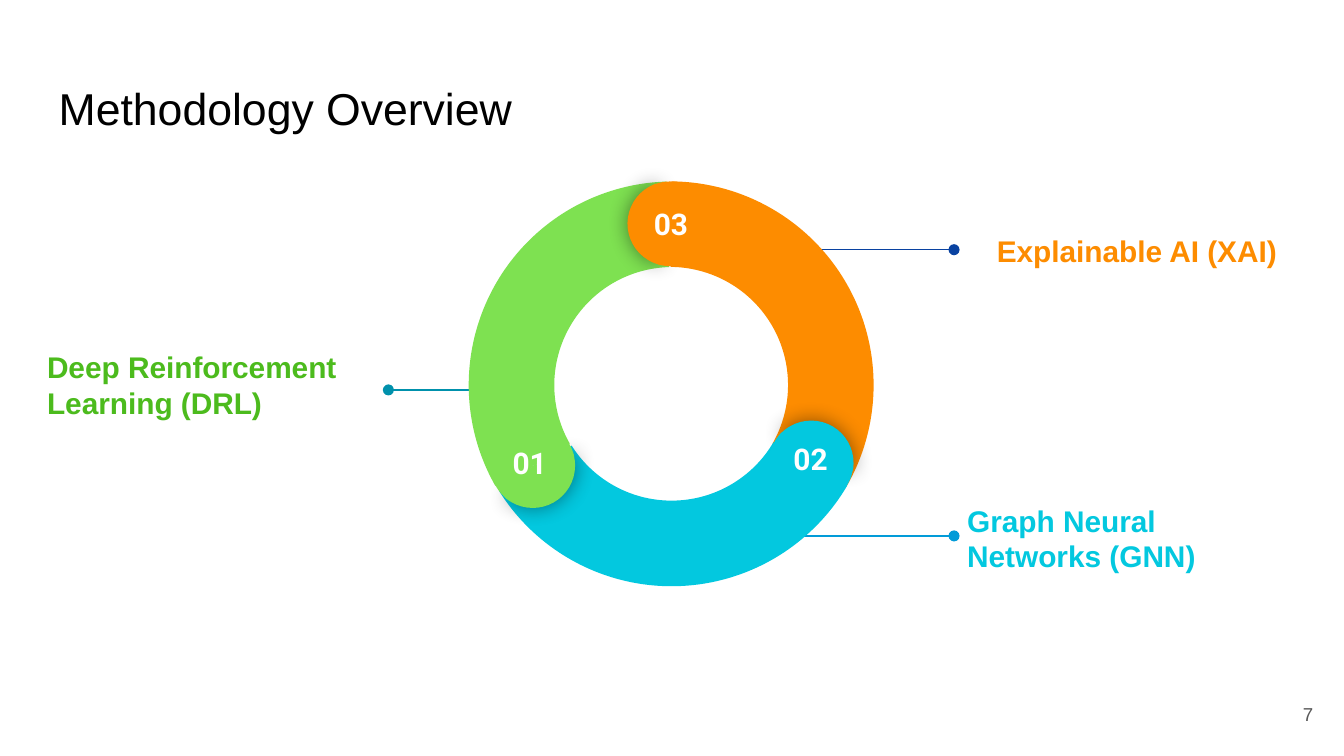
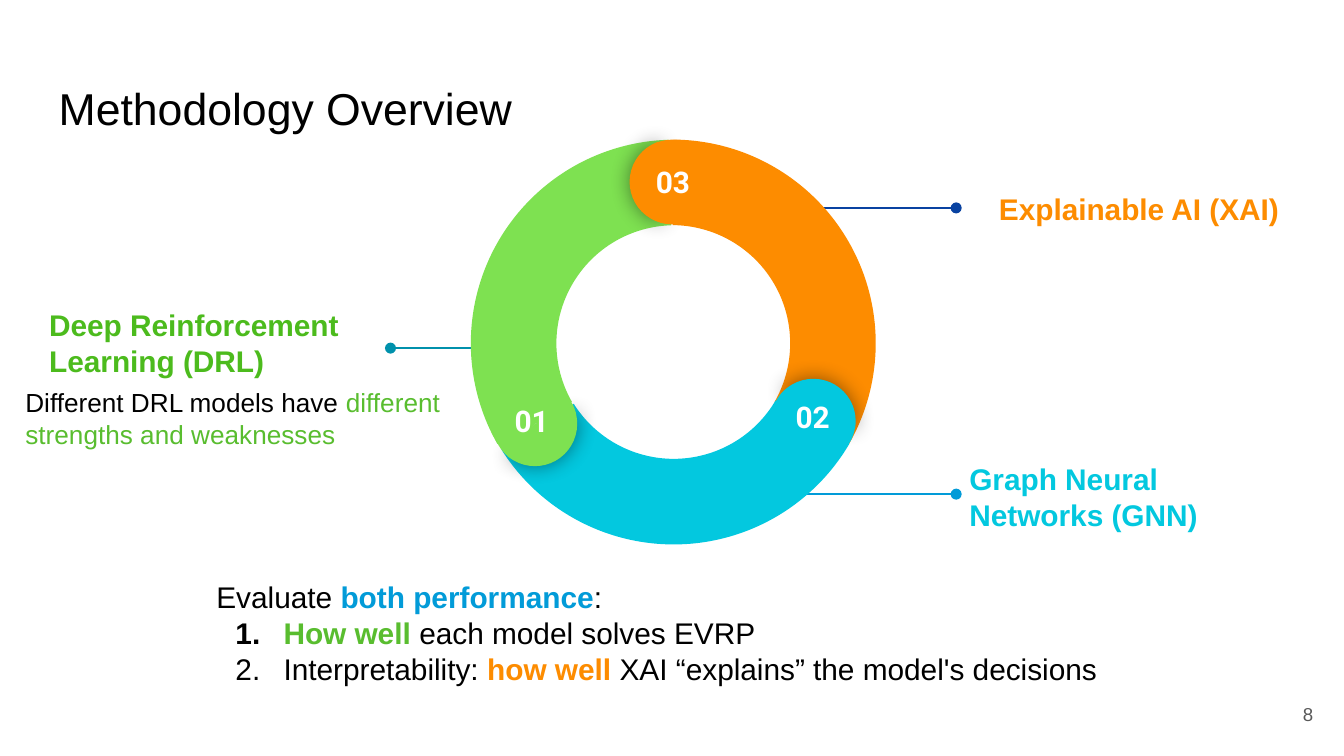
from dataclasses import dataclass

import lxml.etree
import pptx
import pptx.dml.color
import pptx.enum.shapes
import pptx.enum.text
import pptx.oxml.ns
import pptx.util

Cm = pptx.util.Cm
Pt = pptx.util.Pt
Align = pptx.enum.text.PP_ALIGN
Anchor = pptx.enum.text.MSO_ANCHOR
Shape = pptx.enum.shapes.MSO_SHAPE
qn = pptx.oxml.ns.qn

BLACK = "000000"
WHITE = "FFFFFF"
GREY = "595959"
ORANGE = "FD8C00"
CYAN = "03C8DF"
LIME = "7EE151"
GREEN = "4CBB1D"
LEAF = "59BD2F"
BLUE = "029BD8"
TEAL = "0091AC"
NAVY = "0942A1"

INSET = 0.25
RING_SIZE = 7.7
CAP_SIZE = 1.6
CAP_SHADOWED = (61.9, 149.96)
CAP_PLAIN = (40.28, 171.84)


@dataclass(frozen=True)
class Box:
    left: float
    top: float
    width: float
    height: float

    def moved(self, dx: float, dy: float) -> "Box":
        return Box(self.left + dx, self.top + dy, self.width, self.height)

    def lengths(self) -> tuple:
        return Cm(self.left), Cm(self.top), Cm(self.width), Cm(self.height)


@dataclass(frozen=True)
class Span:
    text: str
    color: str = BLACK
    bold: bool = False


@dataclass(frozen=True)
class Callout:
    text: str
    color: str
    box: Box
    line_from: float
    line_to: float
    line_y: float
    line_color: str
    bottom_inset: float = INSET


@dataclass(frozen=True)
class Segment:
    number: str
    color: str
    rotation: float
    arc: Box
    arc_adjustments: tuple
    cap: Box
    label: Box


CALLOUTS = [
    Callout("Deep Reinforcement Learning (DRL)", GREEN, Box(0.64, 5.64, 6.76, 3.91),
            9.09, 7.34, 7.37, TEAL, 0.9),
    Callout("Explainable AI (XAI)", ORANGE, Box(18.59, 2.95, 5.89, 3.58),
            14.48, 18.03, 4.72, NAVY),
    Callout("Graph Neural Networks (GNN)", CYAN, Box(18.03, 8.38, 6.45, 3.58),
            14.48, 18.03, 10.13, BLUE),
]

SEGMENTS = [
    Segment("03", ORANGE, 60, Box(8.81, 3.43, RING_SIZE, RING_SIZE), (126.23, 197.82, 0.21),
            Box(11.86, 3.43, CAP_SIZE, CAP_SIZE), Box(12.04, 3.63, 1.42, 0.74)),
    Segment("02", CYAN, 180, Box(8.84, 3.38, RING_SIZE, RING_SIZE), (126.23, 196.63, 0.21),
            Box(14.53, 7.95, CAP_SIZE, CAP_SIZE), Box(14.68, 8.08, 1.42, 0.74)),
    Segment("01", LIME, 300, Box(8.86, 3.43, RING_SIZE, RING_SIZE), (126.23, 197.03, 0.21),
            Box(9.27, 8.0, CAP_SIZE, CAP_SIZE), Box(9.37, 8.15, 1.42, 0.74)),
]

DRL_NOTE = [[Span("Different DRL models have "),
             Span("different strengths and weaknesses", LEAF)]]

EVALUATION = [
    [Span("Evaluate "), Span("both performance", BLUE, True), Span(":")],
    [Span("How well ", LEAF, True), Span("each model solves EVRP")],
    [Span("Interpretability: "), Span("how well ", ORANGE, True),
     Span("XAI “explains” the model's decisions")],
]


def rgb(color: str) -> pptx.dml.color.RGBColor:
    return pptx.dml.color.RGBColor.from_string(color)


def add_child(parent, tag: str, **attributes: str):
    return lxml.etree.SubElement(parent, qn(tag), attributes)


def set_frame(tf, anchor, bottom: float = INSET) -> None:
    tf.word_wrap = True
    tf.auto_size = pptx.enum.text.MSO_AUTO_SIZE.NONE
    tf.vertical_anchor = anchor
    tf.margin_left = tf.margin_top = tf.margin_right = Cm(INSET)
    tf.margin_bottom = Cm(bottom)


def set_font(font, size: float, color: str, bold: bool = False, name: str = "Arial") -> None:
    font.name = name
    font.size = Pt(size)
    font.bold = bold
    font.color.rgb = rgb(color)


def add_label(slide, box: Box, text: str, size: float, color: str, bold: bool = False,
              name: str = "Arial", align=Align.LEFT, anchor=Anchor.MIDDLE,
              bottom: float = INSET) -> None:
    tf = slide.shapes.add_textbox(*box.lengths()).text_frame
    set_frame(tf, anchor, bottom)
    p = tf.paragraphs[0]
    p.text = text
    p.alignment = align
    set_font(p.font, size, color, bold, name)


def number_paragraph(p) -> None:
    pPr = p._p.get_or_add_pPr()
    pPr.set("marL", str(Cm(1.27)))
    pPr.set("indent", str(Cm(-0.91)))
    add_child(add_child(pPr, "a:buClr"), "a:srgbClr", val=BLACK)
    add_child(pPr, "a:buFont", typeface="Arial")
    add_child(pPr, "a:buAutoNum", type="arabicPeriod")


def add_rich_text(slide, box: Box, paragraphs: list, size: float) -> None:
    tf = slide.shapes.add_textbox(*box.lengths()).text_frame
    set_frame(tf, Anchor.TOP)
    for i, spans in enumerate(paragraphs):
        p = tf.add_paragraph() if i else tf.paragraphs[0]
        if i:
            number_paragraph(p)
        p.font.name = "Arial"
        p.font.size = Pt(size)
        for span in spans:
            r = p.add_run()
            r.text = span.text
            r.font.bold = span.bold
            r.font.color.rgb = rgb(span.color)


def add_curve(slide, kind, box: Box, rotation: float, adjustments: tuple, color: str):
    sp = slide.shapes.add_shape(kind, *box.lengths())
    sp.rotation = rotation % 360
    for i, value in enumerate(adjustments):
        sp.adjustments[i] = value
    sp.fill.solid()
    sp.fill.fore_color.rgb = rgb(color)
    sp.line.fill.background()
    sp.shadow.inherit = False
    return sp


def add_glow_shadow(sp) -> None:
    effects = sp._element.spPr.find(qn("a:effectLst"))
    shadow = add_child(effects, "a:outerShdw", blurRad=str(Pt(11.2)), dist="0", dir="0",
                       algn="ctr", rotWithShape="0")
    add_child(add_child(shadow, "a:srgbClr", val=BLACK), "a:alpha", val="43000")


def add_callout(slide, callout: Callout, dx: float, dy: float) -> None:
    add_label(slide, callout.box.moved(dx, dy), callout.text, 16, callout.color, True,
              bottom=callout.bottom_inset)
    y = Cm(callout.line_y + dy)
    line = slide.shapes.add_connector(pptx.enum.shapes.MSO_CONNECTOR.STRAIGHT,
                                      Cm(callout.line_from + dx), y,
                                      Cm(callout.line_to + dx), y)
    line.line.color.rgb = rgb(callout.line_color)
    line.line.width = Pt(0.75)
    spPr = line._element.spPr
    add_child(spPr.find(qn("a:ln")), "a:tailEnd", type="oval")
    add_child(spPr, "a:effectLst")


def add_ring(slide, dx: float, dy: float) -> None:
    for seg in SEGMENTS:
        add_curve(slide, Shape.BLOCK_ARC, seg.arc.moved(dx, dy), seg.rotation,
                  seg.arc_adjustments, seg.color)
    for seg in SEGMENTS:
        cap = seg.cap.moved(dx, dy)
        add_glow_shadow(add_curve(slide, Shape.PIE, cap, seg.rotation - 59.3,
                                  CAP_SHADOWED, seg.color))
        add_curve(slide, Shape.PIE, cap, seg.rotation + 120, CAP_PLAIN, seg.color)
        add_label(slide, seg.label.moved(dx, dy), seg.number + " ", 16, WHITE, True,
                  "Roboto", Align.CENTER, Anchor.TOP)


def add_overview(prs, page: int, dx: float = 0, dy: float = 0):
    slide = prs.slides.add_slide(prs.slide_layouts[5])
    title = slide.shapes.title
    title.left, title.top, title.width, title.height = Box(0.86, 1.24, 23.67, 1.6).lengths()
    set_frame(title.text_frame, Anchor.MIDDLE)
    p = title.text_frame.paragraphs[0]
    p.text = "Methodology Overview"
    p.alignment = Align.LEFT
    set_font(p.font, 23.9, BLACK)
    for callout in CALLOUTS:
        add_callout(slide, callout, dx, dy)
    add_ring(slide, dx, dy)
    add_label(slide, Box(23.55, 12.95, 1.52, 1.09), str(page), 10, GREY, align=Align.RIGHT)
    return slide


def main() -> None:
    prs = pptx.Presentation()
    prs.slide_width = Cm(25.4)
    prs.slide_height = Cm(14.29)
    add_overview(prs, 7)
    slide = add_overview(prs, 8, 0.04, -0.79)
    add_rich_text(slide, Box(0.23, 7.06, 8.35, 1.7), DRL_NOTE, 14)
    add_rich_text(slide, Box(3.84, 10.69, 17.81, 2.57), EVALUATION, 16)
    prs.save("out.pptx")


if __name__ == "__main__":
    main()
